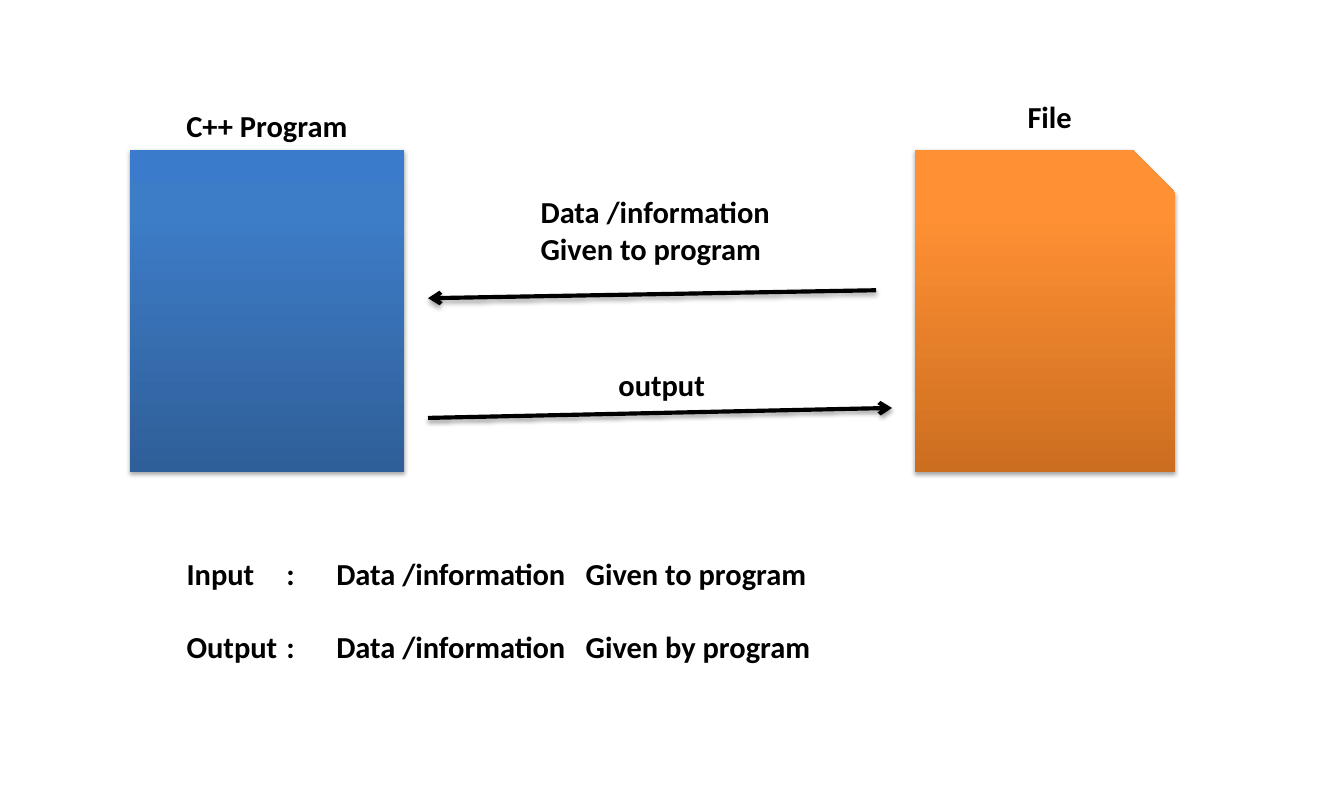
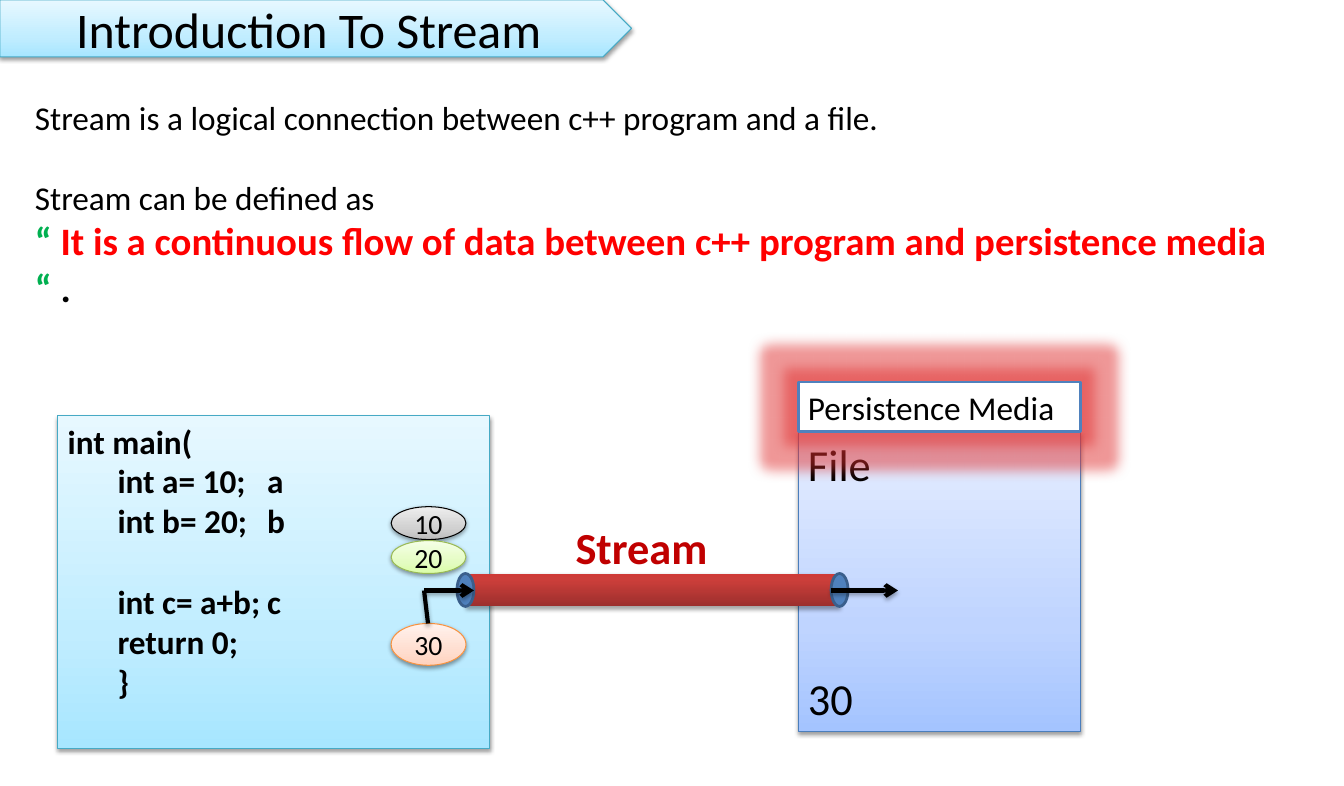
import copy
import lxml.etree
import pptx
import pptx.dml.color
import pptx.enum.shapes
import pptx.enum.text
import pptx.oxml.ns
import pptx.util

RGB = pptx.dml.color.RGBColor
Inches = pptx.util.Inches
KIND = pptx.enum.shapes.MSO_SHAPE
ALIGN = pptx.enum.text.PP_ALIGN
ANCHOR = pptx.enum.text.MSO_ANCHOR
qn = pptx.oxml.ns.qn

# Colours
BLACK, WHITE = RGB(0, 0, 0), RGB(255, 255, 255)
RED, GREEN = RGB(255, 0, 0), RGB(0x00, 0xB0, 0x50)
CRIMSON, GLOW = RGB(0xC0, 0, 0), RGB(0xE0, 0x30, 0x30)
STEEL, NAVY = RGB(0x4F, 0x81, 0xBD), RGB(0x3A, 0x5F, 0x8C)
TEAL, BLUE = RGB(0x46, 0xAA, 0xC5), RGB(0x4B, 0x7E, 0xBC)
LIME, AMBER = RGB(0x98, 0xB9, 0x55), RGB(0xF6, 0x92, 0x40)

# Gradients, bottom to top: middle stop, then three colours
DEEP = (0.8, RGB(0x2F, 0x5F, 0x99), RGB(0x3D, 0x7C, 0xC7), RGB(0x3A, 0x7C, 0xCB))
ORANGE = (0.8, RGB(0xCC, 0x6E, 0x20), RGB(0xFF, 0x90, 0x34), RGB(0xFF, 0x91, 0x36))
BRICK = (0.8, RGB(0x9C, 0x2F, 0x2D), RGB(0xCB, 0x3E, 0x3A), RGB(0xCE, 0x3B, 0x37))
AQUA = (0.35, RGB(0xA7, 0xE6, 0xFF), RGB(0xC1, 0xED, 0xFF), RGB(0xE7, 0xF8, 0xFF))
SKY = (0.35, RGB(0xA4, 0xC4, 0xFF), RGB(0xBF, 0xD4, 0xFF), RGB(0xE6, 0xEE, 0xFF))
GREY = (0.35, RGB(0xBD, 0xBD, 0xBD), RGB(0xD1, 0xD1, 0xD1), RGB(0xEE, 0xEE, 0xEE))
MINT = (0.35, RGB(0xDA, 0xFD, 0xA7), RGB(0xE4, 0xFC, 0xC2), RGB(0xF5, 0xFF, 0xE7))
PEACH = (0.35, RGB(0xFF, 0xD2, 0xBD), RGB(0xFF, 0xDE, 0xD0), RGB(0xFF, 0xF2, 0xED))


def cast(item, tag, ink, alpha, **sizes):
    """Give a shape or connector one effect; no tag means none."""
    effects = lxml.etree.SubElement(item.element.spPr, qn("a:effectLst"))
    if tag:
        node = lxml.etree.SubElement(effects, qn(tag))
        for key, value in sizes.items():
            node.set(key, str(value))
        tint = lxml.etree.SubElement(node, qn("a:srgbClr"), val=str(ink))
        lxml.etree.SubElement(tint, qn("a:alpha"), val=str(alpha * 1000))


def write(shape, rows, size, bold=False, ink=BLACK,
          align=ALIGN.LEFT, anchor=ANCHOR.TOP):
    """Write rows of (space before, tab stops, runs of (text, format))."""
    frame = shape.text_frame
    frame.word_wrap = True
    frame.auto_size = pptx.enum.text.MSO_AUTO_SIZE.NONE
    frame.vertical_anchor = anchor
    if isinstance(rows, str):
        rows = [(0, (), [(rows, {})])]
    for index, (before, tabs, runs) in enumerate(rows):
        para = frame.add_paragraph() if index else frame.paragraphs[0]
        para.alignment = align
        para.space_before = pptx.util.Pt(before)
        props = para._p.get_or_add_pPr()
        props.set("marL", "0")
        props.set("indent", "0")
        lxml.etree.SubElement(props, qn("a:buNone"))
        if tabs:
            stops = lxml.etree.SubElement(props, qn("a:tabLst"))
            for tab in tabs:
                lxml.etree.SubElement(stops, qn("a:tab"), pos=str(Inches(tab)), algn="l")
        for text, extra in runs:
            run = para.add_run()
            run.text = text
            look = {"name": "Calibri", "size": size, "bold": bold, "ink": ink, **extra}
            run.font.color.rgb = look.pop("ink")
            look["size"] = pptx.util.Pt(look["size"])
            for key, value in look.items():
                setattr(run.font, key, value)


deck = pptx.Presentation()
deck.slide_width, deck.slide_height = Inches(13.47), Inches(7.88)
flow, stream = [deck.slides.add_slide(deck.slide_layouts[1]) for _ in range(2)]

# Titles and body lists
flow.shapes.title.element.getparent().remove(flow.shapes.title.element)
title = stream.shapes.title
notes, intro = flow.placeholders[1], stream.placeholders[1]
for holder, box in [(title, (0, 0, 6.19, 0.57)),
                    (notes, (1.77, 5.51, 11.42, 1.21)),
                    (intro, (0.25, 0.92, 12.94, 2.26))]:
    for side, value in zip(("left", "top", "width", "height"), box):
        setattr(holder, side, Inches(value))

write(title, "Introduction To Stream", 36, align=ALIGN.CENTER, anchor=ANCHOR.MIDDLE)
COLS = (1.03, 1.24, 3.68)
write(notes, [
    (0, COLS, [("Input\t:\tData /information\tGiven to program", {})]),
    (26.8, COLS, [("Output\t:\tData /information\tGiven by program", {})]),
], 22, bold=True)
QUOTE = {"size": 28, "bold": True}
write(intro, [
    (0, (), [("Stream is a logical connection between c++ program and a file.", {})]),
    (29.3, (), [("Stream can be defined as", {})]),
    (0, (), [
        ("“ ", {**QUOTE, "ink": GREEN}),
        ("It is a continuous flow of data between c++ program and persistence media ",
         {**QUOTE, "ink": RED}),
        ("“", {**QUOTE, "ink": GREEN}),
        (" .", QUOTE)]),
], 24)

# Filled shapes: slide, kind, box, fill, line colour, line width
CAP = (0.17, 0.33)
FORMS = {
    "program": (flow, KIND.RECTANGLE, (1.3, 1.5, 2.75, 3.23), DEEP, None, 0),
    "file": (flow, KIND.SNIP_1_RECTANGLE, (9.17, 1.5, 2.61, 3.23), ORANGE, None, 0),
    "banner": (stream, KIND.PENTAGON, (0, 0, 6.33, 0.57), AQUA, TEAL, 0.75),
    "code": (stream, KIND.RECTANGLE, (0.58, 4.17, 4.33, 3.33), AQUA, TEAL, 0.75),
    "disk": (stream, KIND.RECTANGLE, (8, 4.33, 2.83, 3), SKY, BLUE, 0.75),
    "a": (stream, KIND.OVAL, (3.92, 5.08, 0.75, 0.33), GREY, BLACK, 0.75),
    "b": (stream, KIND.OVAL, (3.92, 5.42, 0.75, 0.33), MINT, LIME, 0.75),
    "c": (stream, KIND.OVAL, (3.92, 6.25, 0.75, 0.42), PEACH, AMBER, 0.75),
    "pipe": (stream, KIND.RECTANGLE, (4.67, 5.75, 3.75, 0.33), BRICK, None, 0),
    "inlet": (stream, KIND.OVAL, (4.58, 5.75, *CAP), STEEL, NAVY, 2),
    "outlet": (stream, KIND.OVAL, (8.33, 5.75, *CAP), STEEL, NAVY, 2),
    "media": (stream, KIND.RECTANGLE, (8, 3.83, 2.83, 0.5), WHITE, STEEL, 2),
}
made = {}
for name, (slide, kind, box, paint, edge, width) in FORMS.items():
    form = made[name] = slide.shapes.add_shape(kind, *map(Inches, box))
    if edge is None:
        form.line.fill.background()
    else:
        form.line.color.rgb = edge
        form.line.width = pptx.util.Pt(width)
    if isinstance(paint, RGB):
        form.fill.solid()
        form.fill.fore_color.rgb = paint
        if name == "media":
            cast(form, "a:glow", GLOW, 50, rad=228600)
        else:
            cast(form, None, None, 0)
        continue
    form.fill.gradient()
    form.fill.gradient_angle = 90
    first = form.element.spPr.find(".//" + qn("a:gs"))
    first.addnext(copy.deepcopy(first))
    middle, *tints = paint
    for stop, place, tint in zip(form.fill.gradient_stops, (0, middle, 1), tints):
        stop.position = place
        stop.color.rgb = tint
    dist, alpha = (20000, 38) if edge else (23000, 35)
    cast(form, "a:outerShdw", BLACK, alpha, blurRad=40000, dist=dist,
         dir=5400000, rotWithShape=0)
title.element.addprevious(made["banner"].element)

# Text inside the shapes
VARS = (0.76, 2.43)
write(made["code"], [
    (0, (), [("int main(", {})]),
    (0, VARS, [("\tint a= 10;\ta", {})]),
    (0, VARS, [("\tint b= 20;\tb", {})]),
    (29.3, VARS, [("\tint c= a+b;\tc", {})]),
    (0, (0.46,), [("\treturn 0;", {})]),
    (0, (0.24,), [("\t}", {})]),
], 24, bold=True)
write(made["disk"], [(0, (), [("File", {})]), (131, (), [("30", {})])], 32)
write(made["media"], "Persistence Media", 24)
for name, value in zip("abc", ("10", "20", "30")):
    write(made[name], value, 20, align=ALIGN.CENTER, anchor=ANCHOR.MIDDLE)

# Arrows and lines
for slide, ends, arrow in [
        (flow, (8.78, 2.91, 4.29, 2.99), True),
        (flow, (4.29, 4.19, 8.94, 4.09), True),
        (stream, (4.25, 5.92, 4.75, 5.92), True),
        (stream, (4.25, 5.92, 4.29, 6.25), False),
        (stream, (8.33, 5.92, 9, 5.92), True)]:
    line = slide.shapes.add_connector(
        pptx.enum.shapes.MSO_CONNECTOR.STRAIGHT, *map(Inches, ends))
    line.line.color.rgb = BLACK
    line.line.width = pptx.util.Pt(3)
    if arrow:
        lxml.etree.SubElement(line.line._get_or_add_ln(), qn("a:tailEnd"), type="arrow")
    cast(line, "a:outerShdw", BLACK, 35, blurRad=40000, dist=23000,
         dir=5400000, rotWithShape=0)

# Labels
GIVEN = [(0, (), [(text, {})]) for text in ("Data /information", "Given to program")]
for slide, box, text, size, ink in [
        (flow, (1.77, 1.02, 3.16, 0.47), "C++ Program", 22, BLACK),
        (flow, (10.2, 0.93, 1.99, 0.47), "File", 22, BLACK),
        (flow, (5.32, 1.89, 3.16, 0.84), GIVEN, 22, BLACK),
        (flow, (6.1, 3.62, 2.46, 0.47), "output", 22, BLACK),
        (stream, (5.67, 5.17, 1.93, 0.64), "Stream", 32, CRIMSON)]:
    label = slide.shapes.add_textbox(*map(Inches, box))
    write(label, text, size, bold=True, ink=ink)

deck.save("out.pptx")
